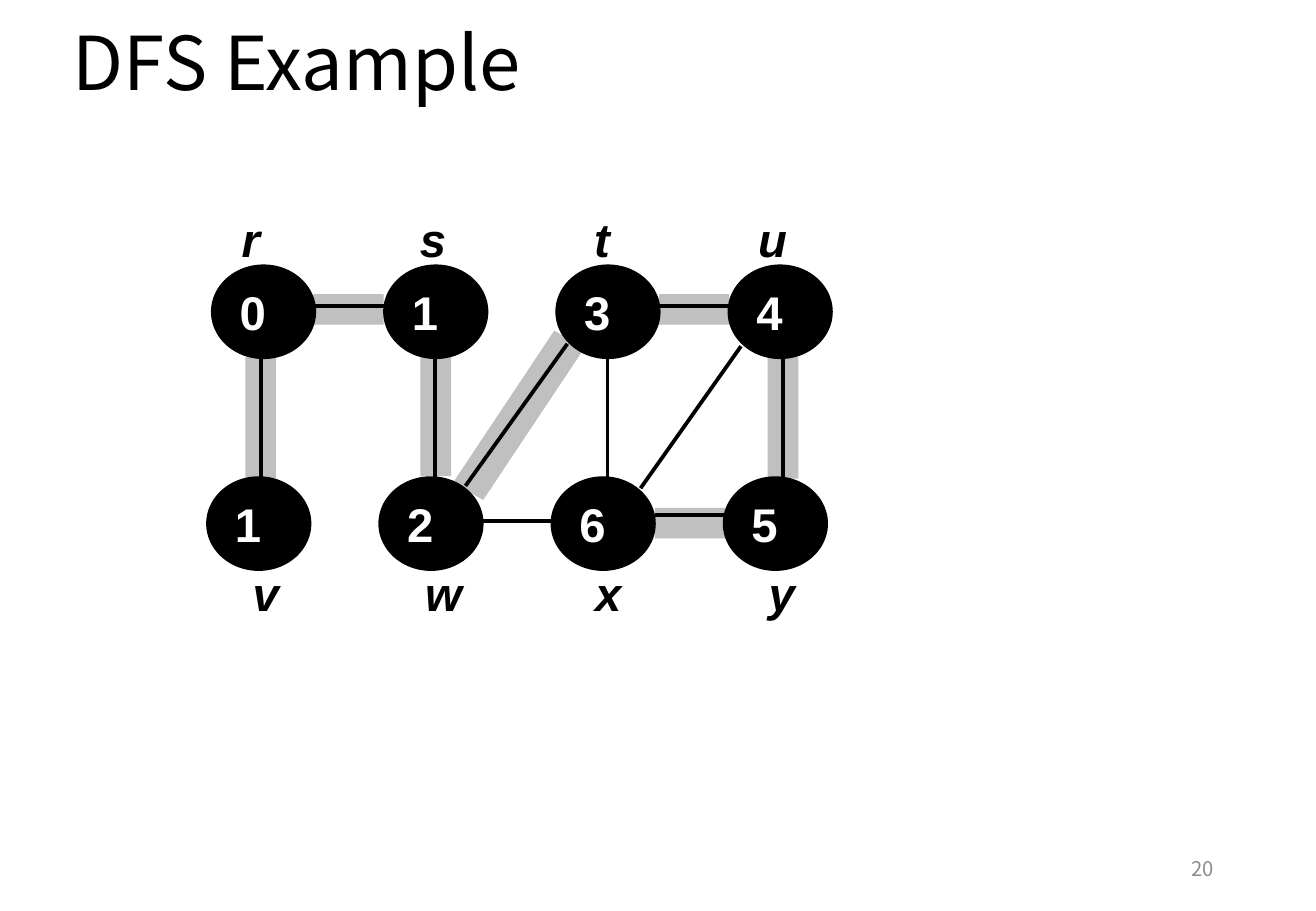
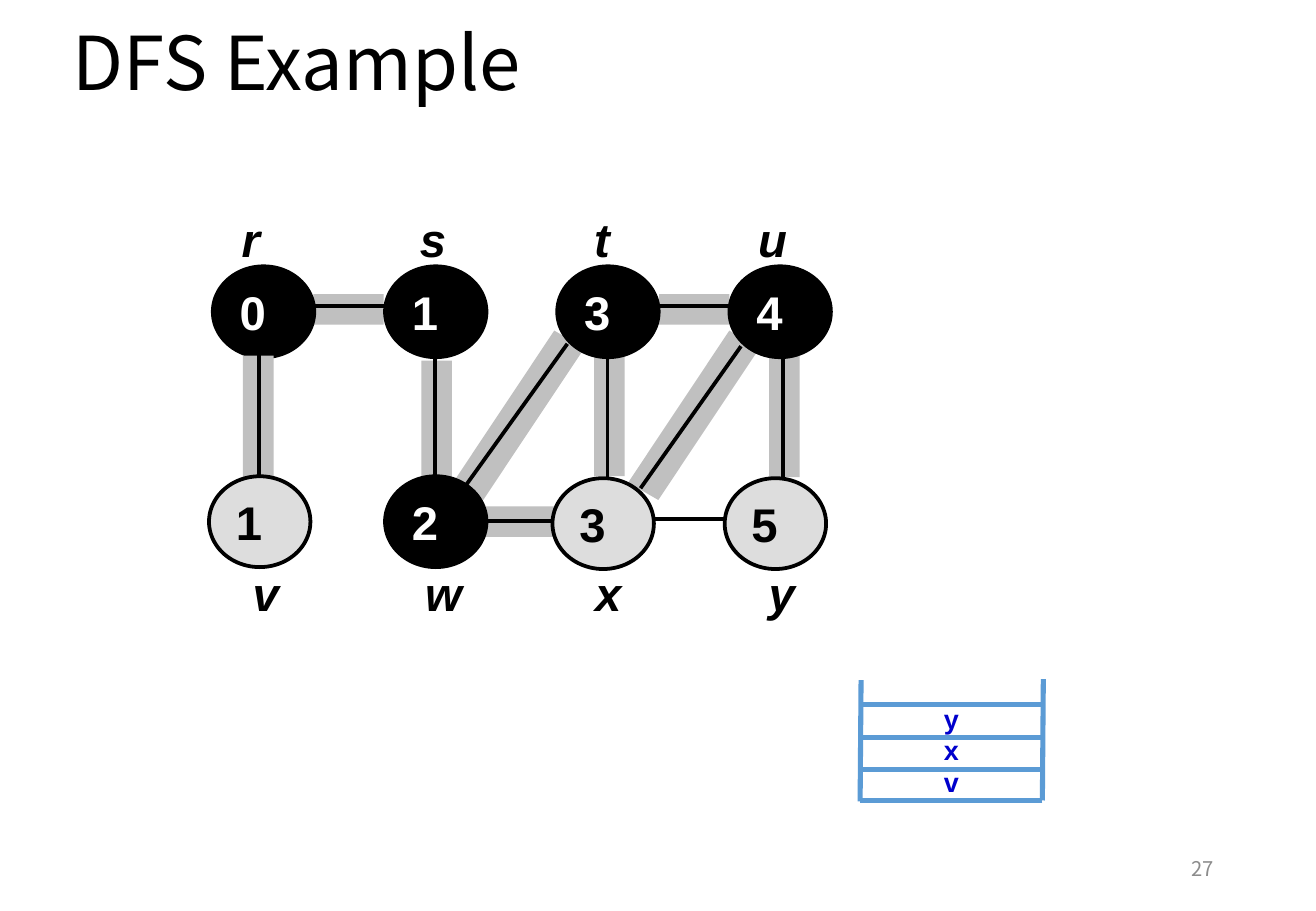
from lxml import etree
from pptx import Presentation
from pptx import util as u
from pptx.dml.color import RGBColor
from pptx.enum import shapes, text
from pptx.oxml.ns import qn

BLACK = RGBColor(0x00, 0x00, 0x00)
WHITE = RGBColor(0xFF, 0xFF, 0xFF)
BAND_GREY = RGBColor(0xC0, 0xC0, 0xC0)
OPEN_GREY = RGBColor(0xDD, 0xDD, 0xDD)
NUMBER_GREY = RGBColor(0x8C, 0x8C, 0x8C)
STACK_BLUE = RGBColor(0x5B, 0x9B, 0xD5)
ITEM_BLUE = RGBColor(0x00, 0x00, 0xCC)
HEADING_FONT = "Noto Sans CJK SC"
GRAPH_FONT = "Arial"

COLUMN_STEP = 3.6
NODE_SIZE = (2.12, 1.9)
TOP_NODES = [(4.45 + COLUMN_STEP * i, 5.57) for i in range(4)]
BOTTOM_NODES = [(4.35 + COLUMN_STEP * i, 10) for i in range(4)]

VERTICAL = (0.64, 2.54)
HORIZONTAL = (1.47, 0.64)
SLANTED = (0.97, 3.81)

VERTEX_NAMES = [
    ("r", 4.8, 4.28, 0.89), ("s", 8.53, 4.28, 1.07),
    ("t", 12.17, 4.28, 0.84), ("u", 15.6, 4.28, 1.12),
    ("v", 5.03, 11.67, 1.07), ("w", 8.64, 11.67, 1.27),
    ("x", 12.19, 11.67, 1.07), ("y", 15.82, 11.67, 1.07),
]
SHARED_EDGES = [
    (9.09, 10, 9.09, 7.47), (12.7, 10, 12.7, 7.47), (16.36, 10, 16.36, 7.47),
    (8.05, 6.4, 6.55, 6.4), (15.25, 6.4, 13.75, 6.4), (11.55, 10.9, 10.08, 10.9),
    (15.49, 7.24, 13.39, 10.21), (11.86, 7.19, 9.73, 10.16),
]
SHARED_BANDS = [
    (HORIZONTAL, 6.55, 6.15), (HORIZONTAL, 13.78, 6.15), (SLANTED, 10.36, 6.78),
]

SLIDES = [
    {
        "number": "20",
        "bands": [(VERTICAL, 5.13, 7.47), (HORIZONTAL, 13.69, 10.62),
                  (VERTICAL, 16.05, 7.47), (VERTICAL, 8.79, 7.42)],
        "covering": [],
        "bottom": list(zip("1265", BOTTOM_NODES, [BLACK] * 4)),
        "edges": [(5.46, 10, 5.46, 7.47), (15.16, 10.77, 13.69, 10.77)],
        "stack": "",
    },
    {
        "number": "27",
        "bands": [(VERTICAL, 12.42, 7.42), (SLANTED, 14.02, 6.78), (VERTICAL, 16.08, 7.44),
                  (HORIZONTAL, 10.16, 10.59), (VERTICAL, 8.81, 7.54)],
        "covering": [(VERTICAL, 5.08, 7.44)],
        "bottom": list(zip("1235", [(4.37, 9.96), (8.05, 9.96)] + BOTTOM_NODES[2:],
                           [OPEN_GREY, BLACK, OPEN_GREY, OPEN_GREY])),
        "edges": [(5.41, 9.96, 5.41, 7.42), (15.16, 10.85, 13.69, 10.85)],
        "stack": "vxy",
    },
]


def write(holder, words, size, font, color, bold=False, italic=False):
    holder.text_frame.text = words
    paragraph = holder.text_frame.paragraphs[0]
    paragraph.alignment = text.PP_ALIGN.LEFT
    style = paragraph.runs[0].font
    style.size, style.name, style.bold, style.italic = u.Pt(size), font, bold, italic
    style.color.rgb = color
    return paragraph


def draw_line(slide, ends, color, width):
    line = slide.shapes.add_connector(shapes.MSO_CONNECTOR.STRAIGHT, *map(u.Cm, ends))
    line.line.color.rgb = color
    line.line.width = u.Pt(width)
    etree.SubElement(line._element.spPr, qn("a:effectLst"))


prs = Presentation()
prs.slide_width, prs.slide_height = u.Cm(27.51), u.Cm(19.05)

for content in SLIDES:
    slide = prs.slides.add_slide(prs.slide_layouts[6])

    title = slide.shapes.add_textbox(u.Cm(1.27), u.Cm(-0.2), u.Cm(20.12), u.Cm(3.18))
    title.text_frame.word_wrap = True
    title.text_frame.vertical_anchor = text.MSO_ANCHOR.MIDDLE
    write(title, "DFS Example", 44, HEADING_FONT, BLACK).line_spacing = 0.9

    number = slide.shapes.add_textbox(u.Cm(19.43), u.Cm(17.65), u.Cm(6.2), u.Cm(1.02))
    number.text_frame.word_wrap = True
    number.text_frame.vertical_anchor = text.MSO_ANCHOR.MIDDLE
    write(number, content["number"], 12, HEADING_FONT, NUMBER_GREY).alignment = text.PP_ALIGN.RIGHT

    layers = [
        (SHARED_BANDS + content["bands"], zip("0134", TOP_NODES, [BLACK] * 4)),
        (content["covering"], content["bottom"]),
    ]
    for bands, nodes in layers:
        for extent, left, top in bands:
            slanted = extent == SLANTED
            outline = shapes.MSO_SHAPE.PARALLELOGRAM if slanted else shapes.MSO_SHAPE.RECTANGLE
            band = slide.shapes.add_shape(outline, *map(u.Cm, (left, top, *extent)))
            band.rotation = 30 if slanted else 0
            band.shadow.inherit = False
            band.fill.solid()
            band.fill.fore_color.rgb = BAND_GREY
            band.line.fill.background()

        for time, corner, fill in nodes:
            node = slide.shapes.add_shape(shapes.MSO_SHAPE.OVAL, *map(u.Cm, corner + NODE_SIZE))
            node.shadow.inherit = False
            node.fill.solid()
            node.fill.fore_color.rgb = fill
            node.line.color.rgb = BLACK
            node.line.width = u.Pt(2.25)
            node.text_frame.vertical_anchor = text.MSO_ANCHOR.MIDDLE
            write(node, time, 28, GRAPH_FONT, WHITE if fill == BLACK else BLACK, bold=True)

    for name, left, top, width in VERTEX_NAMES:
        vertex = slide.shapes.add_textbox(u.Cm(left), u.Cm(top), u.Cm(width), u.Cm(1.45))
        write(vertex, name, 28, GRAPH_FONT, BLACK, bold=True, italic=True)

    for ends in SHARED_EDGES + content["edges"]:
        draw_line(slide, ends, BLACK, 2.25)

    if content["stack"]:
        for x, bottom in [(17.98, 16.76), (21.79, 16.74)]:
            draw_line(slide, (x, bottom, x + 0.02, bottom - 2.54), STACK_BLUE, 3)
        for y in (16.74, 16.09, 15.42, 14.73):
            draw_line(slide, (21.79, y, 17.98, y), STACK_BLUE, 3)
    for level, name in enumerate(content["stack"]):
        item = slide.shapes.add_textbox(u.Cm(19.48), u.Cm(15.88 - 0.66 * level), u.Cm(0.81), u.Cm(0.94))
        write(item, name, 16, GRAPH_FONT, ITEM_BLUE, bold=True)

prs.save("out.pptx")
